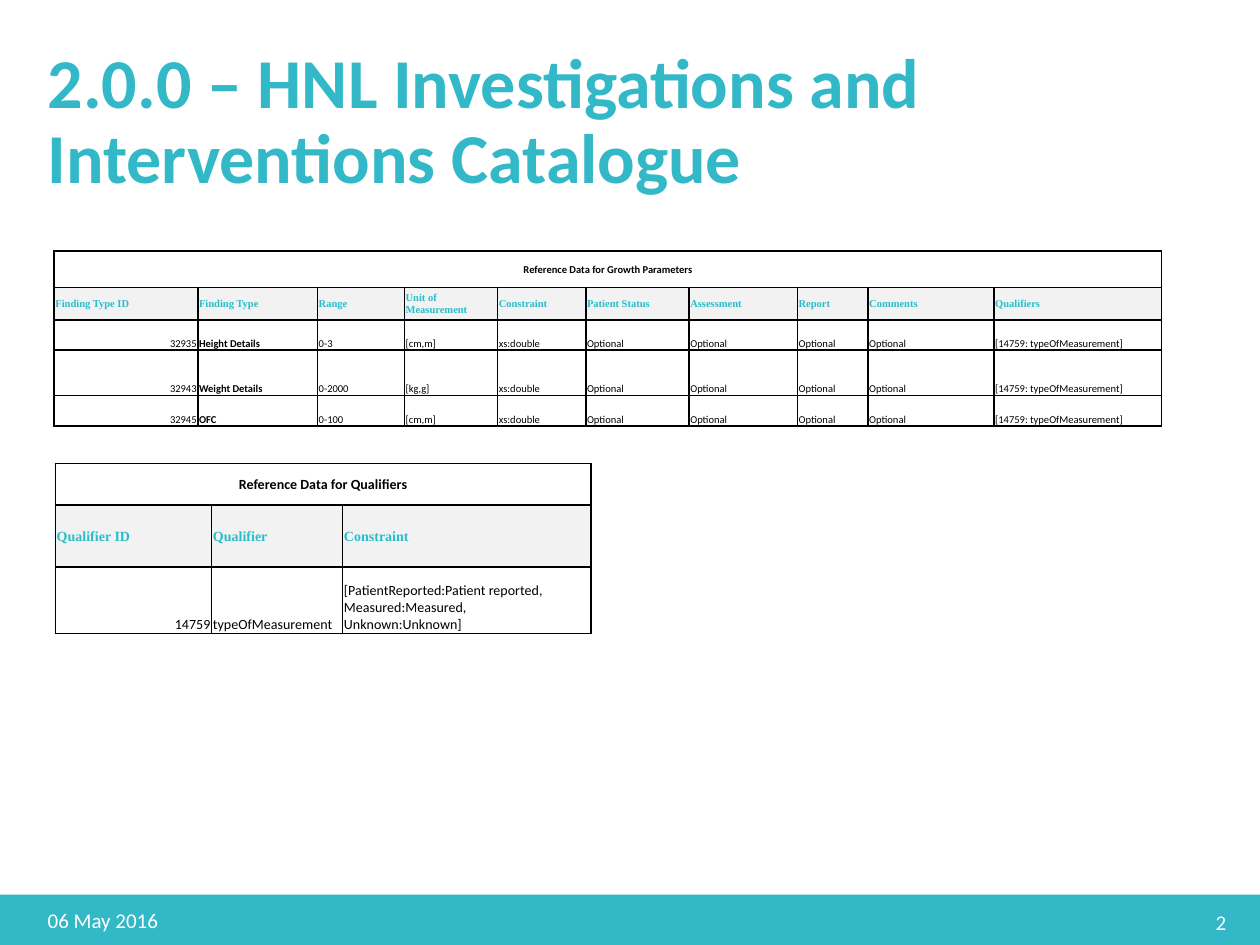
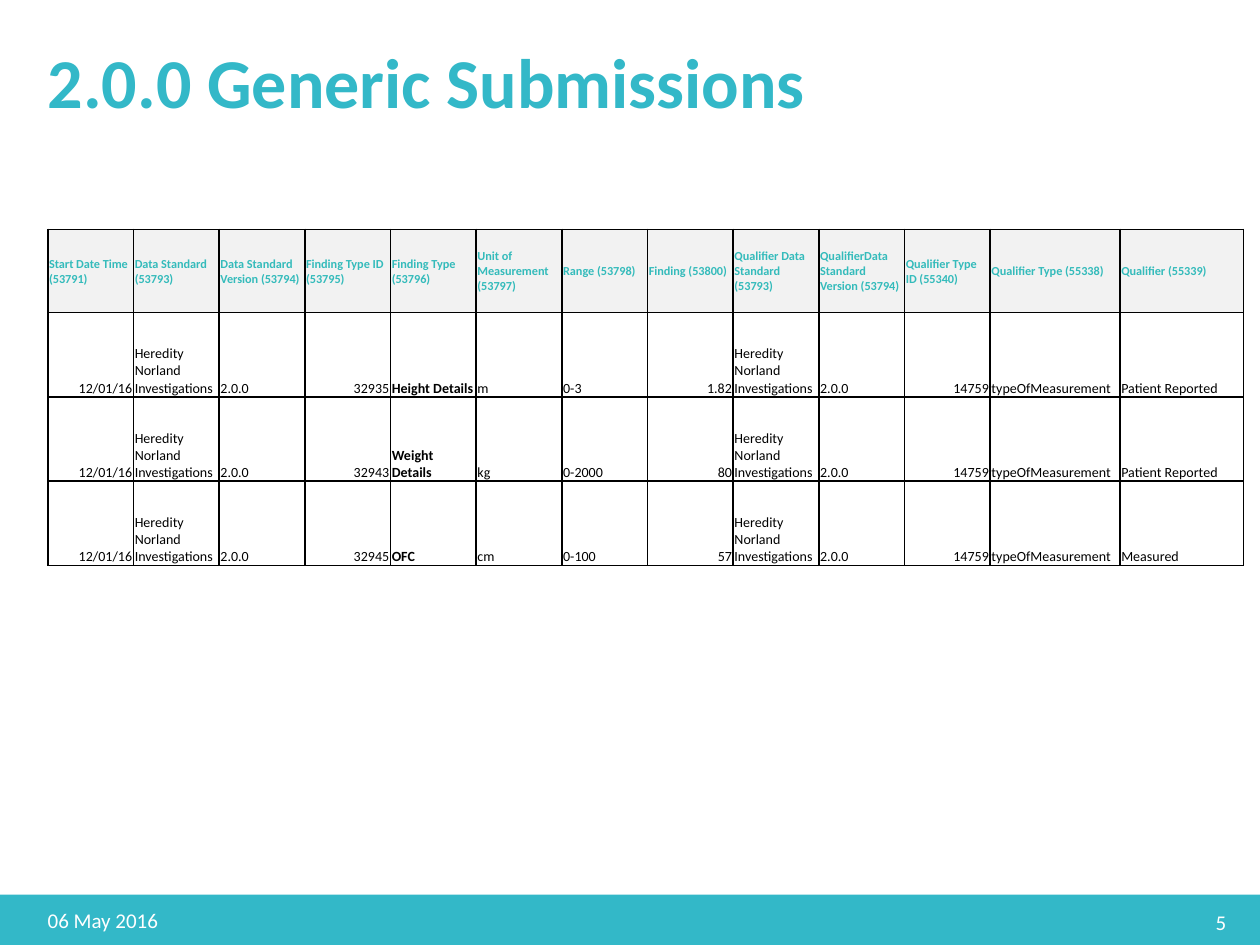
from lxml.etree import SubElement as Sub
from pptx import Presentation
from pptx.dml.color import RGBColor as Rgb
from pptx.enum.shapes import MSO_SHAPE as Shape
from pptx.enum.text import MSO_ANCHOR as Anchor, MSO_AUTO_SIZE as Auto, PP_ALIGN as Align
from pptx.oxml.ns import qn
from pptx.util import Inches, Pt

WIDE, HIGH = 1000, 750
UNIT = Inches(10) // WIDE
BAND = 710
EDGE = 28
SANS, SERIF = "Calibri", "Times New Roman"
INK = {
    "brand": "33B8C8",
    "white": "FFFFFF",
    "black": "000000",
    "shade": "F2F2F2",
    "aqua": "29BDCA",
    "teal": "34BBBB",
}


def grid(*spans):
    return [span * UNIT for span in spans]


def color(name):
    return Rgb.from_string(INK[name])


def style(para, size, ink, bold=False, face=SANS, align=Align.LEFT):
    para.alignment = align
    font = para.font
    font.name, font.size, font.bold = face, Pt(size), bold
    font.color.rgb = color(ink)


def add_title(slide, text):
    title = slide.shapes.title
    title.left, title.top, title.width, title.height = grid(EDGE, 33, 760, 96)
    frame = title.text_frame
    frame.text = text
    frame.word_wrap = True
    frame.auto_size = Auto.NONE
    frame.vertical_anchor = Anchor.TOP
    para = frame.paragraphs[0]
    para.line_spacing = 0.9
    style(para, 40, "brand", True)


def add_label(slide, text, left, top, align):
    frame = slide.shapes.add_textbox(*grid(left, top, 225, 40)).text_frame
    frame.text = text
    frame.word_wrap = True
    frame.vertical_anchor = Anchor.MIDDLE
    style(frame.paragraphs[0], 12, "white", align=align)


def add_foot(slide, page):
    band = slide.shapes.add_shape(Shape.RECTANGLE, *grid(0, BAND, WIDE, HIGH - BAND))
    band.shadow.inherit = False
    band.fill.solid()
    band.fill.fore_color.rgb = color("brand")
    band.line.fill.background()
    add_label(slide, str(page), 758, BAND + 2, Align.RIGHT)
    add_label(slide, "06 May 2016", EDGE, BAND, Align.LEFT)


def add_rules(cell):
    props = cell._tc.get_or_add_tcPr()
    for spot, side in enumerate(("lnL", "lnR", "lnT", "lnB")):
        line = Sub(props, qn("a:" + side), w=str(Pt(1)))
        fill = Sub(line, qn("a:solidFill"))
        Sub(fill, qn("a:srgbClr"), val=INK["black"])
        props.insert(spot, line)


def fill_cell(cell, text, shade=False, anchor=Anchor.MIDDLE, **look):
    cell.text = text
    cell.vertical_anchor = anchor
    cell.margin_left = cell.margin_right = cell.margin_top = UNIT
    cell.margin_bottom = 0
    if shade:
        cell.fill.solid()
        cell.fill.fore_color.rgb = color("shade")
    else:
        cell.fill.background()
    add_rules(cell)
    for para in cell.text_frame.paragraphs:
        style(para, **look)


def is_value(text):
    return text.replace("/", "").replace(".", "", 1).isdigit()


def add_grid(slide, left, top, cols, rows, head, body, size, look, name=None, key=None):
    box = grid(left, top, sum(cols), sum(rows))
    table = slide.shapes.add_table(len(rows), len(cols), *box).table
    table.first_row = table.horz_banding = False
    for col, wide in zip(table.columns, cols):
        col.width = wide * UNIT
    for row, high in zip(table.rows, rows):
        row.height = high * UNIT
    start = 0
    if name:
        for x in range(len(cols)):
            fill_cell(table.cell(0, x), "" if x else name, size=size,
                      ink="black", bold=True, align=Align.CENTER)
        table.cell(0, 0).merge(table.cell(0, len(cols) - 1))
        start = 1
    for x, text in enumerate(head):
        fill_cell(table.cell(start, x), text, shade=True, bold=True, **look)
    for y, line in enumerate(body, start + 1):
        for x, text in enumerate(line):
            align = Align.RIGHT if is_value(text) else Align.LEFT
            fill_cell(table.cell(y, x), text, anchor=Anchor.BOTTOM, size=size,
                      ink="black", bold=x == key, align=align)


def add_growth(slide):
    head = ["Finding Type ID", "Finding Type", "Range", "Unit of Measurement",
            "Constraint", "Patient Status", "Assessment", "Report", "Comments",
            "Qualifiers"]
    facts = [
        ("32935", "Height Details", "0-3", "[cm,m]"),
        ("32943", "Weight Details", "0-2000", "[kg,g]"),
        ("32945", "OFC", "0-100", "[cm,m]"),
    ]
    tail = ("xs:double", *["Optional"] * 4, "[14759: typeOfMeasurement]")
    add_grid(slide, 43, 199, [114, 95, 69, 74, 70, 82, 86, 56, 100, 133],
             [29, 26, 24, 36, 24], head, [fact + tail for fact in facts], 6,
             dict(size=6, ink="aqua", face=SERIF),
             "Reference Data for Growth Parameters", 1)


def add_quals(slide):
    rule = "[PatientReported:Patient reported,\vMeasured:Measured,\vUnknown:Unknown]"
    add_grid(slide, 44, 368, [124, 104, 197], [33, 49, 53],
             ["Qualifier ID", "Qualifier", "Constraint"],
             [("14759", "typeOfMeasurement", rule)], 8,
             dict(size=8, ink="aqua", face=SERIF), "Reference Data for Qualifiers")


def add_sends(slide):
    head = ["Start Date Time (53791)", "Data Standard (53793)",
            "Data Standard Version (53794)", "Finding Type ID (53795)",
            "Finding Type (53796)", "Unit of Measurement (53797)",
            "Range (53798)", "Finding (53800)", "Qualifier Data Standard (53793)",
            "QualifierData Standard Version (53794)", "Qualifier Type ID (55340)",
            "Qualifier Type (55338)", "Qualifier (55339)"]
    facts = [
        ("32935", "Height Details", "m", "0-3", "1.82", "Patient Reported"),
        ("32943", "Weight Details", "kg", "0-2000", "80", "Patient Reported"),
        ("32945", "OFC", "cm", "0-100", "57", "Measured"),
    ]
    norm = ("Heredity Norland Investigations", "2.0.0")
    body = [("12/01/16", *norm, *fact, *norm, "14759", "typeOfMeasurement", state)
            for *fact, state in facts]
    add_grid(slide, 38, 182, [68] * 11 + [103, 98], [66] + [67] * 3, head, body, 8,
             dict(size=7, ink="teal"), key=4)


def main():
    deck = Presentation()
    deck.slide_width, deck.slide_height = grid(WIDE, HIGH)
    pages = [
        (2, "2.0.0 – HNL Investigations and Interventions Catalogue",
         (add_growth, add_quals)),
        (5, "2.0.0 Generic Submissions", (add_sends,)),
    ]
    for page, title, parts in pages:
        slide = deck.slides.add_slide(deck.slide_layouts[5])
        add_title(slide, title)
        add_foot(slide, page)
        for part in parts:
            part(slide)
    deck.save("out.pptx")


main()
